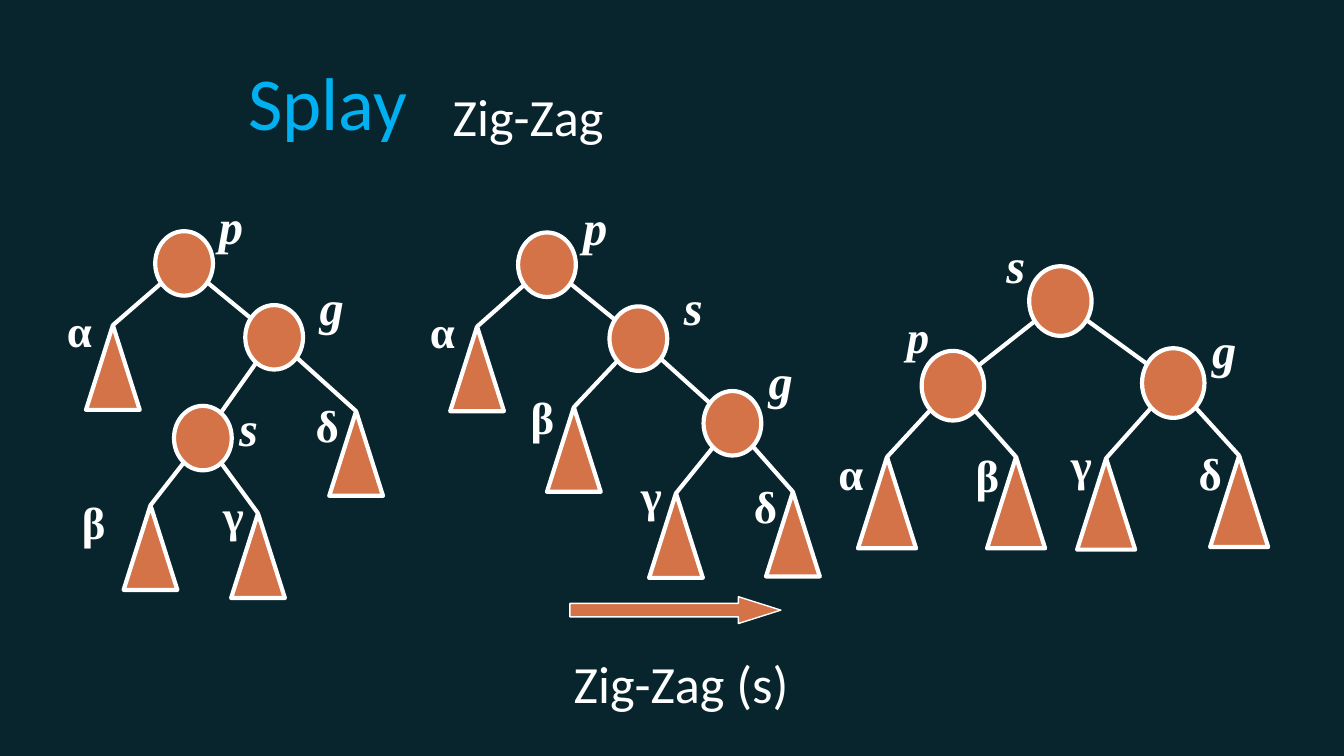
import math
from dataclasses import dataclass

import pptx
import pptx.dml.color
import pptx.enum.shapes
import pptx.enum.text
import pptx.oxml.ns
import pptx.util
from lxml import etree

Inches = pptx.util.Inches
Pt = pptx.util.Pt
SHAPE = pptx.enum.shapes.MSO_SHAPE
RGB = pptx.dml.color.RGBColor.from_string


@dataclass(frozen=True)
class Theme:
    background: str = "08252D"
    accent: str = "D47348"
    title: str = "00B0F0"
    white: str = "FFFFFF"
    sans: str = "Calibri"
    serif: str = "Times New Roman"
    title_size: int = 40
    caption_size: int = 28
    node_size: int = 26
    leaf_size: int = 24
    edge: float = 2.25
    outline: float = 0.75


THEME = Theme()


@dataclass
class Node:
    """A circle (centre at x, y) or, without kids, a triangle (apex at x, y)."""
    name: str
    x: float
    y: float
    label_x: float
    label_y: float
    kids: tuple = ()
    label_size: int = THEME.node_size


BEFORE = Node("p", 0.97, 0.55, 1.13, 0, (
    Node("α", 0.44, 1.01, 0, 0.79),
    Node("g", 1.64, 1.1, 1.88, 0.6, (
        Node("s", 1.11, 1.85, 1.28, 1.5, (
            Node("β", 0.72, 2.35, 0.11, 2.22),
            Node("γ", 1.52, 2.41, 1.16, 2.17))),
        Node("δ", 2.25, 1.65, 1.85, 1.5)))))

ROTATED = Node("p", 0.97, 0.55, 1.14, 0, (
    Node("α", 0.45, 1.01, 0, 0.79),
    Node("s", 1.65, 1.1, 1.89, 0.59, (
        Node("β", 1.17, 1.61, 0.75, 1.43),
        Node("g", 2.35, 1.73, 2.52, 1.14, (
            Node("γ", 1.93, 2.25, 1.57, 2.01),
            Node("δ", 2.8, 2.24, 2.41, 2.09)))))))

AFTER = Node("s", 1.75, 0.54, 1.25, 0, (
    Node("p", 0.95, 1.17, 0.51, 0.55, (
        Node("α", 0.46, 1.7, 0, 1.57),
        Node("β", 1.42, 1.7, 1.02, 1.58)), THEME.leaf_size),
    Node("g", 2.59, 1.15, 2.78, 0.63, (
        Node("γ", 2.09, 1.71, 1.73, 1.5),
        Node("δ", 3.08, 1.69, 2.68, 1.57)))))


def add_text(shapes, box, text, font, size, color, bold=False, italic=False,
             wrap=True):
    tf = shapes.add_textbox(*map(Inches, box)).text_frame
    tf.word_wrap = wrap
    p = tf.paragraphs[0]
    p.text = text
    p.font.name = font
    p.font.size = Pt(size)
    p.font.bold = bold
    p.font.italic = italic
    p.font.color.rgb = RGB(color)
    return p


def add_filled(shapes, kind, box, line_width):
    sp = shapes.add_shape(kind, *map(Inches, box))
    sp.shadow.inherit = False
    sp.fill.solid()
    sp.fill.fore_color.rgb = RGB(THEME.accent)
    sp.line.color.rgb = RGB(THEME.white)
    sp.line.width = Pt(line_width)
    return sp


def add_edge(shapes, x, y, parent, kid, rx, ry):
    """Join the rim of the parent circle to the kid's rim or apex."""
    dx, dy = kid.x - parent.x, kid.y - parent.y
    rim = 1 / math.hypot(dx / rx, dy / ry)
    end = 1 - rim if kid.kids else 1
    points = [Inches(v) for t in (rim, end)
              for v in (x + parent.x + t * dx, y + parent.y + t * dy)]
    line = shapes.add_connector(
        pptx.enum.shapes.MSO_CONNECTOR.STRAIGHT, *points)
    line.line.color.rgb = RGB(THEME.white)
    line.line.width = Pt(THEME.edge)
    etree.SubElement(line._element.spPr, pptx.oxml.ns.qn("a:effectLst"))


def add_node(shapes, x, y, node, scale):
    """Draw a subtree, its edges first so that the shapes cover their ends."""
    circle_w, circle_h = 0.43 * scale, 0.48 * scale
    leaf_w, leaf_h = 0.4 * scale, 0.63 * scale
    for kid in node.kids:
        add_edge(shapes, x, y, node, kid, circle_w / 2, circle_h / 2)
        add_node(shapes, x, y, kid, scale)
    cx, cy = x + node.x, y + node.y
    if node.kids:
        add_filled(shapes, SHAPE.OVAL,
                   (cx - circle_w / 2, cy - circle_h / 2, circle_w, circle_h),
                   THEME.edge)
    else:
        add_filled(shapes, SHAPE.ISOSCELES_TRIANGLE,
                   (cx - leaf_w / 2, cy, leaf_w, leaf_h), THEME.edge)
    label = (x + node.label_x, y + node.label_y, 0.68 * scale, 0.68 * scale)
    size = node.label_size if node.kids else THEME.leaf_size
    p = add_text(shapes, label, node.name, THEME.serif, size, THEME.white,
                 bold=True, italic=bool(node.kids))
    p.alignment = pptx.enum.text.PP_ALIGN.JUSTIFY


def add_tree(s, x, y, root, scale=1):
    add_node(s.shapes.add_group_shape().shapes, x, y, root, scale)


def add_heading(s, x, y):
    add_text(s.shapes, (x, y, 7.02, 0.77), "Splay", THEME.sans,
             THEME.title_size, THEME.title)
    add_text(s.shapes, (x + 1.52, y + 0.21, 1.33, 0.57), "Zig-Zag",
             THEME.sans, THEME.caption_size, THEME.white, wrap=False)


def add_step(s, x, y):
    """Draw the arrow with the name of the operation below it."""
    arrow = add_filled(s.shapes, SHAPE.RIGHT_ARROW, (x + 0.07, y, 1.57, 0.2),
                       THEME.outline)
    arrow.adjustments[1] = 1.58
    add_text(s.shapes, (x, y + 0.36, 1.82, 0.57), "Zig-Zag (s)", THEME.sans,
             THEME.caption_size, THEME.white, wrap=False)


def main():
    prs = pptx.Presentation()
    prs.slide_width, prs.slide_height = Inches(10), Inches(10 * 9 / 16)
    s = prs.slides.add_slide(prs.slide_layouts[6])
    s.background.fill.solid()
    s.background.fill.fore_color.rgb = RGB(THEME.background)
    add_heading(s, 1.75, 0.37)
    add_tree(s, 6.14, 1.7, AFTER, scale=1.08)
    add_step(s, 4.17, 4.44)
    add_tree(s, 3.1, 1.42, ROTATED)
    add_tree(s, 0.4, 1.41, BEFORE)
    prs.save("out.pptx")


if __name__ == "__main__":
    main()
